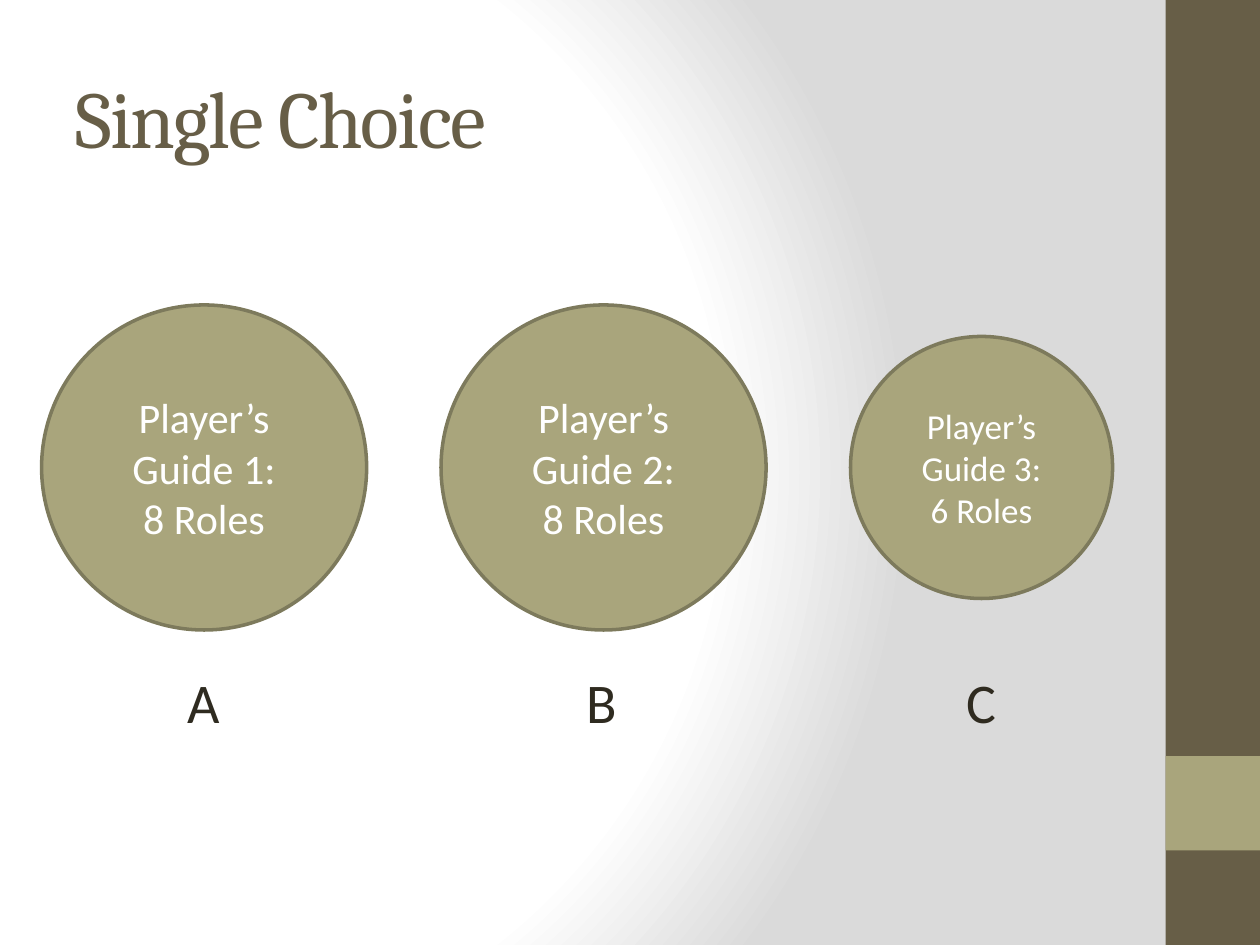
from lxml import etree
from pptx import Presentation
from pptx.dml.color import RGBColor
from pptx.enum import shapes, text
from pptx.oxml import ns
from pptx.util import Inches, Pt

THEME = {
    "brown": "675E47", "olive": "A9A57C", "outline": "7D7A5C",
    "dark": "2F2B20", "white": "FFFFFF", "gray": "DADADA",
    "heading": "Cambria", "body": "Calibri",
    "title_size": 46, "label_size": 32,
}
TITLE = "Single Choice"
# letter, label width, lines, circle left, circle diameter, type size
CHOICES = [
    ("A", 0.46, ["Player’s Guide 1:", "8 Roles"], 0.33, 2.58, 24),
    ("B", 0.46, ["Player’s Guide 2:", "8 Roles"], 3.5, 2.58, 24),
    ("C", 0.44, ["Player’s Guide 3:", "6 Roles"], 6.75, 2.08, 20),
]
CIRCLE_MIDDLE = 3.71
LABEL_TOP, LABEL_HEIGHT = 5.25, 0.64
SIDEBAR_LEFT, SIDEBAR_WIDTH = 9.25, 0.75


def color(name):
    return RGBColor.from_string(THEME[name])


def set_background(slide):
    """Fill the slide with a radial gradient centred left of the middle."""
    slide.background.fill.solid()
    properties = slide.element.find(".//" + ns.qn("p:bgPr"))
    stops = "".join(
        f'<a:gs pos="{percent * 1000}"><a:srgbClr val="{THEME[name]}"/></a:gs>'
        for percent, name in [(0, "white"), (75, "white"), (100, "gray")])
    properties[0] = etree.fromstring(
        f'<a:gradFill {ns.nsdecls("a")} rotWithShape="1"><a:gsLst>{stops}</a:gsLst>'
        '<a:path path="circle">'
        '<a:fillToRect l="20000" t="50000" r="100000" b="50000"/>'
        '</a:path></a:gradFill>')


def add_filled(slide, kind, box, fill, outline=None):
    shape = slide.shapes.add_shape(kind, *map(Inches, box))
    shape.shadow.inherit = False
    shape.fill.solid()
    shape.fill.fore_color.rgb = color(fill)
    if outline:
        shape.line.color.rgb = color(outline)
        shape.line.width = Pt(2)
    else:
        shape.line.fill.background()
    return shape


def write(shape, lines, *, size, ink, font="body", align=text.PP_ALIGN.LEFT,
          anchor=text.MSO_ANCHOR.TOP, wrap=True, inset=None, spacing=None):
    frame = shape.text_frame
    frame.word_wrap = wrap
    frame.vertical_anchor = anchor
    if inset is not None:
        frame.margin_left = frame.margin_right = Inches(inset)
        frame.margin_top = frame.margin_bottom = Inches(inset)
    for index, line in enumerate(lines):
        paragraph = frame.add_paragraph() if index else frame.paragraphs[0]
        paragraph.alignment = align
        run = paragraph.add_run()
        run.text = line
        run.font.size = Pt(size)
        run.font.name = THEME[font]
        run.font.color.rgb = color(ink)
        if spacing is not None:
            run.font.element.set("spc", str(spacing * 100)) if hasattr(
                run.font, "element") else run._r.get_or_add_rPr().set(
                "spc", str(spacing * 100))


def add_choice(slide, letter, label_width, lines, left, diameter, size):
    circle = add_filled(
        slide, shapes.MSO_SHAPE.OVAL,
        (left, CIRCLE_MIDDLE - diameter / 2, diameter, diameter),
        "olive", "outline")
    write(circle, lines, size=size, ink="white", align=text.PP_ALIGN.CENTER,
          anchor=text.MSO_ANCHOR.MIDDLE, inset=0)
    label_left = left + (diameter - label_width) / 2
    label = slide.shapes.add_textbox(*map(
        Inches, (label_left, LABEL_TOP, label_width, LABEL_HEIGHT)))
    write(label, [letter], size=THEME["label_size"], ink="dark", wrap=False)
    label.text_frame.auto_size = text.MSO_AUTO_SIZE.SHAPE_TO_FIT_TEXT


def main():
    presentation = Presentation()
    presentation.slide_width = Inches(10)
    presentation.slide_height = Inches(7.5)
    slide = presentation.slides.add_slide(presentation.slide_layouts[6])
    set_background(slide)
    for top, height, fill in [(0, 7.5, "brown"), (6, 0.75, "olive")]:
        add_filled(slide, shapes.MSO_SHAPE.RECTANGLE,
                   (SIDEBAR_LEFT, top, SIDEBAR_WIDTH, height), fill)
    title = slide.shapes.add_textbox(*map(Inches, (0.5, 0.3, 8.33, 1.25)))
    write(title, [TITLE], size=THEME["title_size"], ink="brown", font="heading",
          anchor=text.MSO_ANCHOR.MIDDLE, spacing=-1)
    for choice in CHOICES:
        add_choice(slide, *choice)
    presentation.save("out.pptx")


if __name__ == "__main__":
    main()
